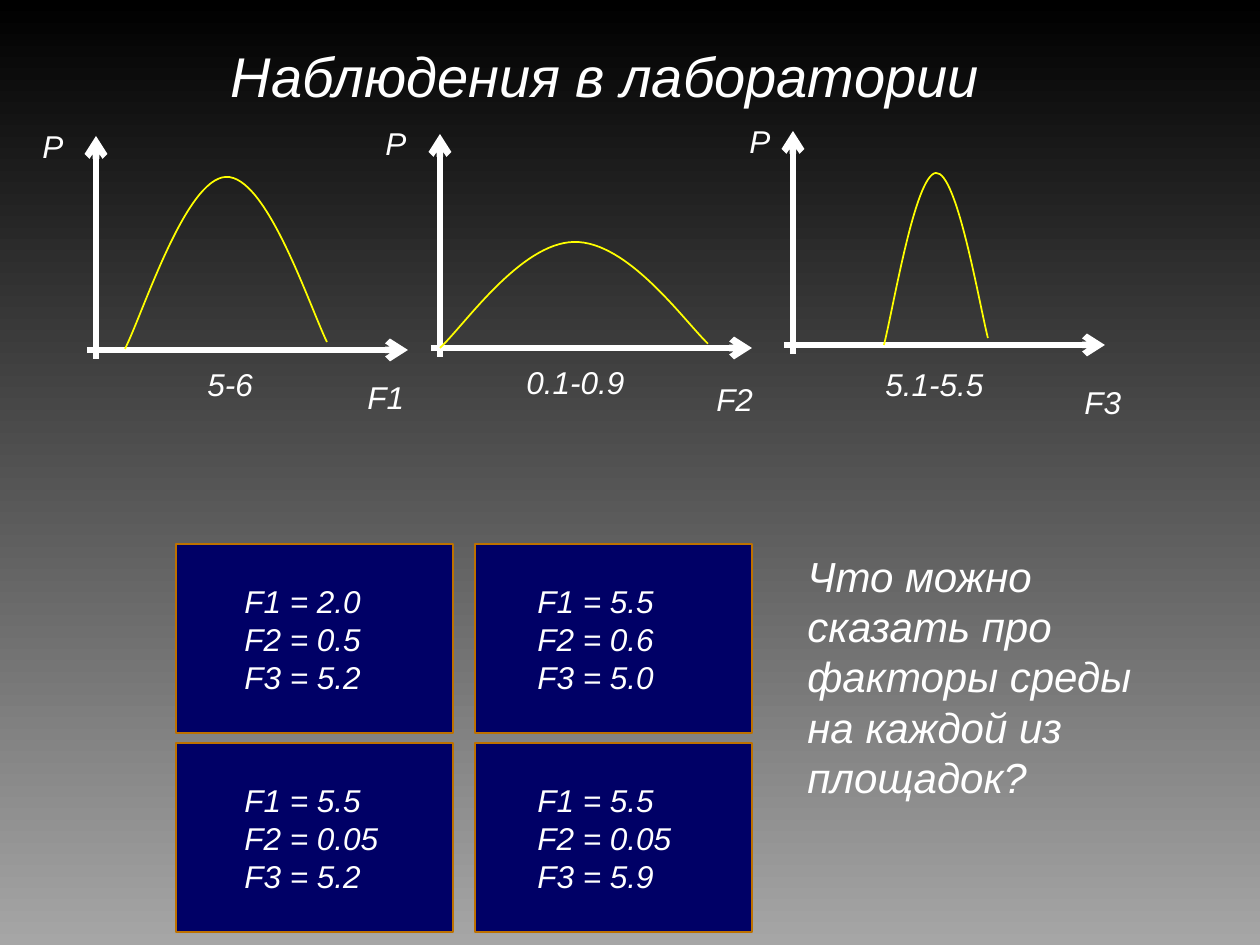
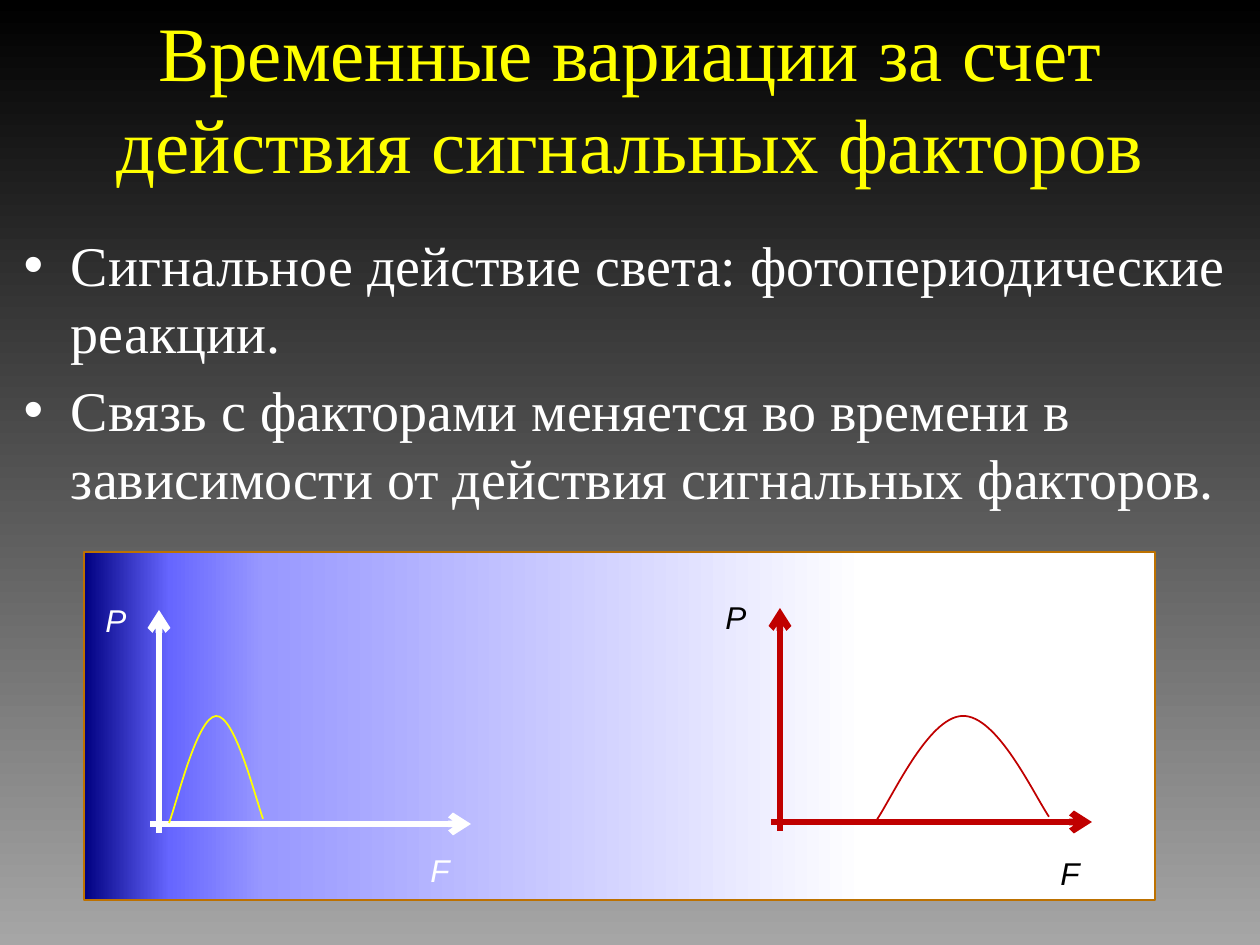
"""Builds two slides on organisms' tolerance to environmental factors."""
from copy import deepcopy

from lxml import etree
from pptx import Presentation
from pptx.dml.color import RGBColor
from pptx.enum.shapes import MSO_CONNECTOR, MSO_SHAPE
from pptx.enum.text import MSO_ANCHOR, MSO_AUTO_SIZE, PP_ALIGN
from pptx.oxml.ns import qn
from pptx.util import Pt

PX = 7257
STRAIGHT = MSO_CONNECTOR.STRAIGHT
RECTANGLE = MSO_SHAPE.RECTANGLE
TOP, MIDDLE = MSO_ANCHOR.TOP, MSO_ANCHOR.MIDDLE
LEFT, CENTER = PP_ALIGN.LEFT, PP_ALIGN.CENTER
NO_FIT, GROW = MSO_AUTO_SIZE.NONE, MSO_AUTO_SIZE.SHAPE_TO_FIT_TEXT
WHITE, BLACK, YELLOW, RED = "FFFFFF", "000000", "FFFF00", "C00000"
NAVY, BRONZE, GREY = "000066", "BD7100", "A6A6A6"
SERIF = "Times New Roman"
BELL = [(0, 0), (0.09, 0.21), (0.3, 0.99), (0.5, 1), (0.7, 1.01), (0.91, 0.26), (1, 0.04)]
rgb = RGBColor.from_string


def write(frame, text, size=18, color=WHITE, font="Arial", italic=True,
          align=LEFT, anchor=TOP, fit=GROW):
    """Fill a text frame, one paragraph per line of text."""
    frame.word_wrap = True
    frame.auto_size = fit
    frame.vertical_anchor = anchor
    for index, line in enumerate(text.split("\n")):
        para = frame.add_paragraph() if index else frame.paragraphs[0]
        para.alignment = align
        if index == 0:
            para.space_before = Pt(0)
        span = para.add_run()
        span.text = line
        span.font.size = Pt(size)
        span.font.name = font
        span.font.italic = italic
        span.font.color.rgb = rgb(color)


def draw_graph(page, left, base, bell, axis_color, bell_color):
    """Draw two arrow axes and a bell curve as one group."""
    group = page.shapes.add_group_shape()
    axes = [(left, base, left + 321, base), (left + 9, base + 9, left + 9, base - 214)]
    for ends in axes:
        axis = group.shapes.add_connector(STRAIGHT, *[end * PX for end in ends])
        axis.line.color.rgb = rgb(axis_color)
        axis.line.width = Pt(3.75)
        properties = axis._element.spPr
        etree.SubElement(properties.find(qn("a:ln")), qn("a:tailEnd"), type="arrow")
        etree.SubElement(properties, qn("a:effectLst"))

    bell_left, bell_top, width, height = bell
    points = [(round((bell_left + x * width) * PX), round((bell_top + (1 - y) * height) * PX))
              for x, y in BELL]
    builder = group.shapes.build_freeform(*points[0], scale=1.0)
    builder.add_line_segments(points[1:], close=False)
    curve = builder.convert_to_shape()
    curve.shadow.inherit = False
    curve.fill.background()
    curve.line.color.rgb = rgb(bell_color)
    curve.line.width = Pt(1)
    outline = curve._element.find(".//" + qn("a:path"))
    segments = outline.findall(qn("a:lnTo"))
    for start in range(0, len(segments), 3):
        cubic = etree.SubElement(outline, qn("a:cubicBezTo"))
        for segment in segments[start:start + 3]:
            cubic.append(segment[0])
            outline.remove(segment)


deck = Presentation()
deck.slide_width, deck.slide_height = 1260 * PX, 945 * PX
backdrop = deck.slide_master.background.fill
backdrop.gradient()
backdrop.gradient_angle = 270
for stop, color in zip(backdrop.gradient_stops, (BLACK, GREY)):
    stop.color.rgb = rgb(color)

lab = deck.slides.add_slide(deck.slide_layouts[5])
title = lab.shapes.title
title.left, title.top, title.width, title.height = 218 * PX, 35 * PX, 793 * PX, 81 * PX
write(title.text_frame, "Наблюдения в лаборатории", size=32, fit=NO_FIT)

for left, base, bell in [
    (87, 350, (125, 177, 202, 172)),
    (431, 348, (440, 242, 268, 106)),
    (784, 345, (884, 173, 104, 172)),
]:
    draw_graph(lab, left, base, bell, WHITE, YELLOW)

sites = ["F1 = 2.0\nF2 = 0.5\nF3 = 5.2", "F1 = 5.5\nF2 = 0.6\nF3 = 5.0",
         "F1 = 5.5\nF2 = 0.05\nF3 = 5.2", "F1 = 5.5\nF2 = 0.05\nF3 = 5.9"]
lab_labels = [
    ("P", 30, 121, 58), ("P", 373, 118, 58), ("P", 737, 116, 58),
    ("5-6", 195, 359, 105), ("0.1-0.9", 514, 357, 179), ("5.1-5.5", 873, 359, 141),
    ("F1", 355, 372, 77), ("F2", 704, 374, 77), ("F3", 1072, 377, 77),
]
for index, site in enumerate(sites):
    row, column = divmod(index, 2)
    top = 544 + 199 * row
    plot = lab.shapes.add_shape(RECTANGLE, (176 + 299 * column) * PX, top * PX,
                                277 * PX, 189 * PX)
    plot.shadow.inherit = False
    plot.fill.solid()
    plot.fill.fore_color.rgb = rgb(NAVY)
    plot.line.color.rgb = rgb(BRONZE)
    plot.line.width = Pt(1)
    lab_labels.append((site, 232 + 293 * column, top + 32, 178))

for text, left, top, width in lab_labels:
    height = 50 + 38 * text.count("\n")
    box = lab.shapes.add_textbox(left * PX, top * PX, width * PX, height * PX)
    write(box.text_frame, text)

question = lab.shapes.add_textbox(795 * PX, 544 * PX, 388 * PX, 267 * PX)
write(question.text_frame, "Что можно сказать про факторы среды на каждой из площадок?", size=24)

signals = deck.slides.add_slide(deck.slide_layouts[1])
title, body = signals.placeholders
title.left, title.top, title.width, title.height = 95 * PX, 18 * PX, 1071 * PX, 157 * PX
write(title.text_frame, "Временные вариации за счет действия сигнальных факторов", size=44,
      color=YELLOW, font=SERIF, italic=False, align=CENTER, anchor=MIDDLE, fit=NO_FIT)
body.left, body.top, body.width, body.height = 11 * PX, 224 * PX, 1237 * PX, 523 * PX
write(body.text_frame, "Сигнальное действие света: фотопериодические реакции.\n"
      "Связь с факторами меняется во времени в зависимости от действия сигнальных факторов.",
      size=32, font=SERIF, italic=False, fit=NO_FIT)

panel = signals.shapes.add_shape(RECTANGLE, 84 * PX, 552 * PX, 1071 * PX, 348 * PX)
panel.shadow.inherit = False
panel.line.color.rgb = rgb(BRONZE)
panel.line.width = Pt(1)
panel.fill.gradient()
panel.fill.gradient_angle = 180
daylight = [(0, WHITE), (0.27, WHITE), (0.83, "9999FF"), (0.92, "6666FF"), (1, "000080")]
stop_list = panel._element.spPr.find(".//" + qn("a:gsLst"))
for extra in daylight[2:]:
    stop_list.append(deepcopy(stop_list[0]))
for stop, (position, color) in zip(panel.fill.gradient_stops, daylight):
    stop.position = position
    stop.color.rgb = rgb(color)

draw_graph(signals, 150, 824, (169, 716, 94, 107), WHITE, YELLOW)
draw_graph(signals, 771, 822, (876, 716, 173, 105), RED, RED)
for text, left, top, width, color in [
    ("P", 93, 595, 58, WHITE), ("F", 418, 845, 77, WHITE),
    ("P", 713, 592, 58, BLACK), ("F", 1048, 848, 77, BLACK),
]:
    box = signals.shapes.add_textbox(left * PX, top * PX, width * PX, 50 * PX)
    write(box.text_frame, text, color=color)

deck.save("out.pptx")
